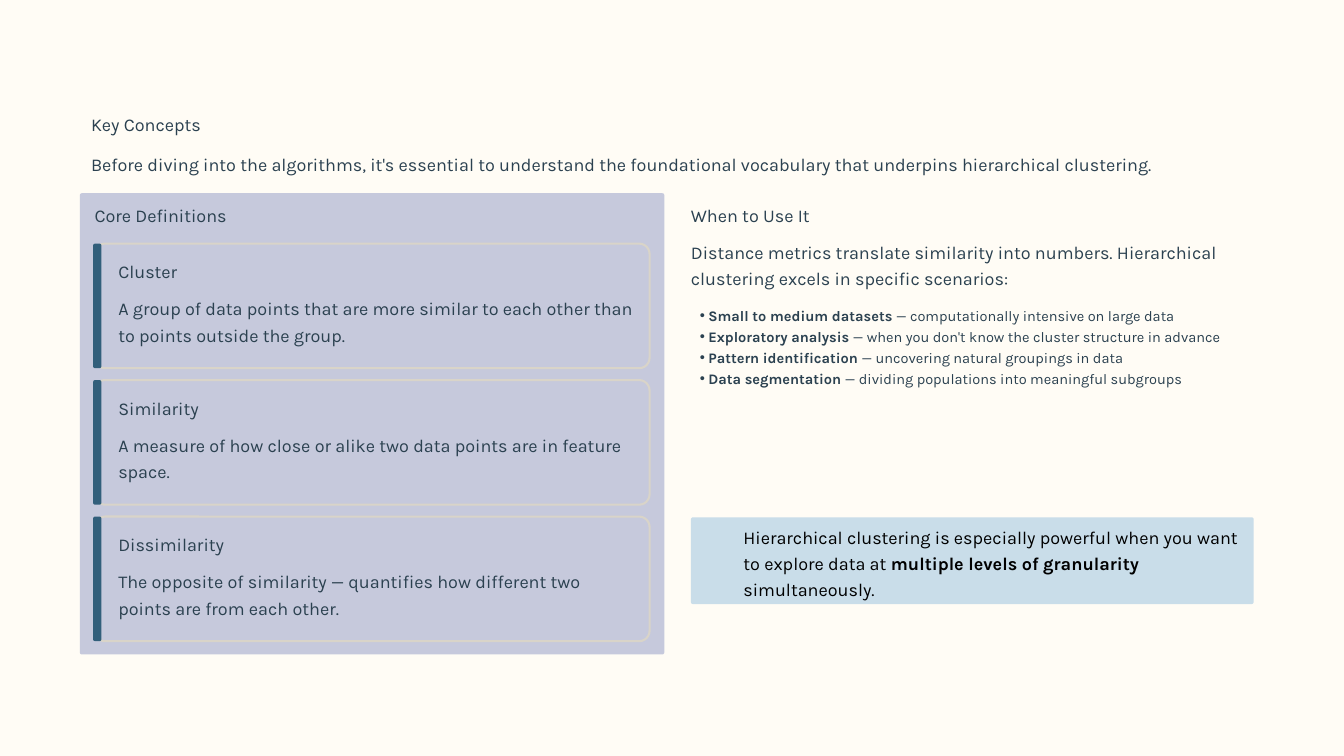
from dataclasses import dataclass

from lxml import etree
from pptx import Presentation
from pptx import util as u
from pptx.dml.color import RGBColor
from pptx.enum import shapes, text
from pptx.oxml import ns

EMU_PER_PX = 9525


@dataclass(frozen=True)
class Theme:
    font: str = "Karla"
    bullet_font: str = "Arial"
    page: str = "FFFCF5"
    panel: str = "C6C9DC"
    card_border: str = "D9D4C9"
    accent: str = "325F7B"
    callout: str = "C9DDE9"
    ink: str = "2B4150"
    callout_ink: str = "000000"
    body_size: float = 19.3
    body_leading: float = 28.1
    list_size: float = 15.6
    list_leading: float = 22.5


@dataclass(frozen=True)
class Box:
    left: int
    top: int
    width: int
    height: int

    def emu(self) -> tuple:
        return tuple(px(v) for v in (self.left, self.top, self.width, self.height))


@dataclass(frozen=True)
class Run:
    text: str
    bold: bool = False


@dataclass(frozen=True)
class Definition:
    term: str
    meaning: str


THEME = Theme()
LINE_HEIGHT = 44
TWO_LINES = 83
THREE_LINES = 112
COLUMN_TOP = 285
RIGHT_LEFT, RIGHT_WIDTH = 987, 804
CARD_TOP, CARD_PITCH = 348, 195

DEFINITIONS = (
    Definition("Cluster", "A group of data points that are more similar to each other than to points outside the group."),
    Definition("Similarity", "A measure of how close or alike two data points are in feature space."),
    Definition("Dissimilarity", "The opposite of similarity — quantifies how different two points are from each other."),
)
USES = (
    ("Small to medium datasets", "computationally intensive on large data"),
    ("Exploratory analysis", "when you don't know the cluster structure in advance"),
    ("Pattern identification", "uncovering natural groupings in data"),
    ("Data segmentation", "dividing populations into meaningful subgroups"),
)


def px(value: int) -> u.Emu:
    return u.Emu(value * EMU_PER_PX)


def color(value: str) -> RGBColor:
    return RGBColor.from_string(value)


def add_panel(slide, box: Box, fill: str, radius: int = 3, border: str = "") -> None:
    shape = slide.shapes.add_shape(shapes.MSO_SHAPE.ROUNDED_RECTANGLE, *box.emu())
    shape.shadow.inherit = False
    shape.adjustments[0] = radius / min(box.width, box.height)
    shape.fill.solid()
    shape.fill.fore_color.rgb = color(fill)
    if border:
        shape.line.color.rgb = color(border)
        shape.line.width = px(3)
    else:
        shape.line.fill.background()


def add_bullet(paragraph) -> None:
    paragraph.level = 1
    properties = paragraph._p.get_or_add_pPr()
    properties.set("marL", str(px(25)))
    properties.set("indent", str(px(-12)))
    etree.SubElement(properties, ns.qn("a:buFont")).set("typeface", THEME.bullet_font)
    etree.SubElement(properties, ns.qn("a:buChar")).set("char", "•")


def add_text(slide, box: Box, paragraphs: list[list[Run]], ink: str = THEME.ink,
             size: float = THEME.body_size, leading: float = THEME.body_leading,
             bulleted: bool = False) -> None:
    frame = slide.shapes.add_textbox(*box.emu()).text_frame
    frame.word_wrap = True
    frame.auto_size = text.MSO_AUTO_SIZE.SHAPE_TO_FIT_TEXT
    frame.margin_left = frame.margin_top = frame.margin_right = frame.margin_bottom = 0
    for index, runs in enumerate(paragraphs):
        paragraph = frame.add_paragraph() if index else frame.paragraphs[0]
        if bulleted:
            add_bullet(paragraph)
        paragraph.line_spacing = u.Pt(leading)
        paragraph.font.name = THEME.font
        paragraph.font.size = u.Pt(size)
        paragraph.font.color.rgb = color(ink)
        for part in runs:
            run = paragraph.add_run()
            run.text = part.text
            if part.bold:
                run.font.bold = True


def add_line(slide, box: Box, content: str) -> None:
    add_text(slide, box, [[Run(content)]])


def add_definition(slide, top: int, definition: Definition) -> None:
    add_panel(slide, Box(135, top, 793, 178), THEME.panel, 15, THEME.card_border)
    add_panel(slide, Box(133, top, 12, 178), THEME.accent)
    add_line(slide, Box(169, top + 18, 742, LINE_HEIGHT), definition.term)
    add_line(slide, Box(169, top + 71, 742, TWO_LINES), definition.meaning)


def add_header(slide) -> None:
    add_line(slide, Box(130, 156, 1661, LINE_HEIGHT), "Key Concepts")
    add_line(slide, Box(130, 213, 1661, LINE_HEIGHT),
             "Before diving into the algorithms, it's essential to understand the "
             "foundational vocabulary that underpins hierarchical clustering.")


def add_definitions(slide) -> None:
    add_panel(slide, Box(114, 276, 835, 659), THEME.panel)
    add_line(slide, Box(135, COLUMN_TOP, 793, LINE_HEIGHT), "Core Definitions")
    for index, definition in enumerate(DEFINITIONS):
        add_definition(slide, CARD_TOP + index * CARD_PITCH, definition)


def add_usage(slide) -> None:
    add_line(slide, Box(RIGHT_LEFT, COLUMN_TOP, RIGHT_WIDTH, LINE_HEIGHT), "When to Use It")
    add_line(slide, Box(RIGHT_LEFT, 338, RIGHT_WIDTH, TWO_LINES),
             "Distance metrics translate similarity into numbers. "
             "Hierarchical clustering excels in specific scenarios:")
    uses = [[Run(name, True), Run(f" — {reason}")] for name, reason in USES]
    add_text(slide, Box(RIGHT_LEFT, 433, RIGHT_WIDTH, 287), uses,
             size=THEME.list_size, leading=THEME.list_leading, bulleted=True)


def add_callout(slide) -> None:
    panel = Box(RIGHT_LEFT, 739, RIGHT_WIDTH, 124)
    add_panel(slide, panel, THEME.callout)
    message = [
        Run("Hierarchical clustering is especially powerful when you want to explore data at "),
        Run("multiple levels of granularity", True),
        Run(" simultaneously."),
    ]
    text_top = panel.top + (panel.height - THREE_LINES) // 2
    add_text(slide, Box(1062, text_top, 716, THREE_LINES), [message], ink=THEME.callout_ink)


def main() -> None:
    presentation = Presentation()
    presentation.slide_width, presentation.slide_height = px(1920), px(1080)
    slide = presentation.slides.add_slide(presentation.slide_layouts[6])
    slide.background.fill.solid()
    slide.background.fill.fore_color.rgb = color(THEME.page)
    add_header(slide)
    add_definitions(slide)
    add_usage(slide)
    add_callout(slide)
    presentation.save("out.pptx")


if __name__ == "__main__":
    main()
